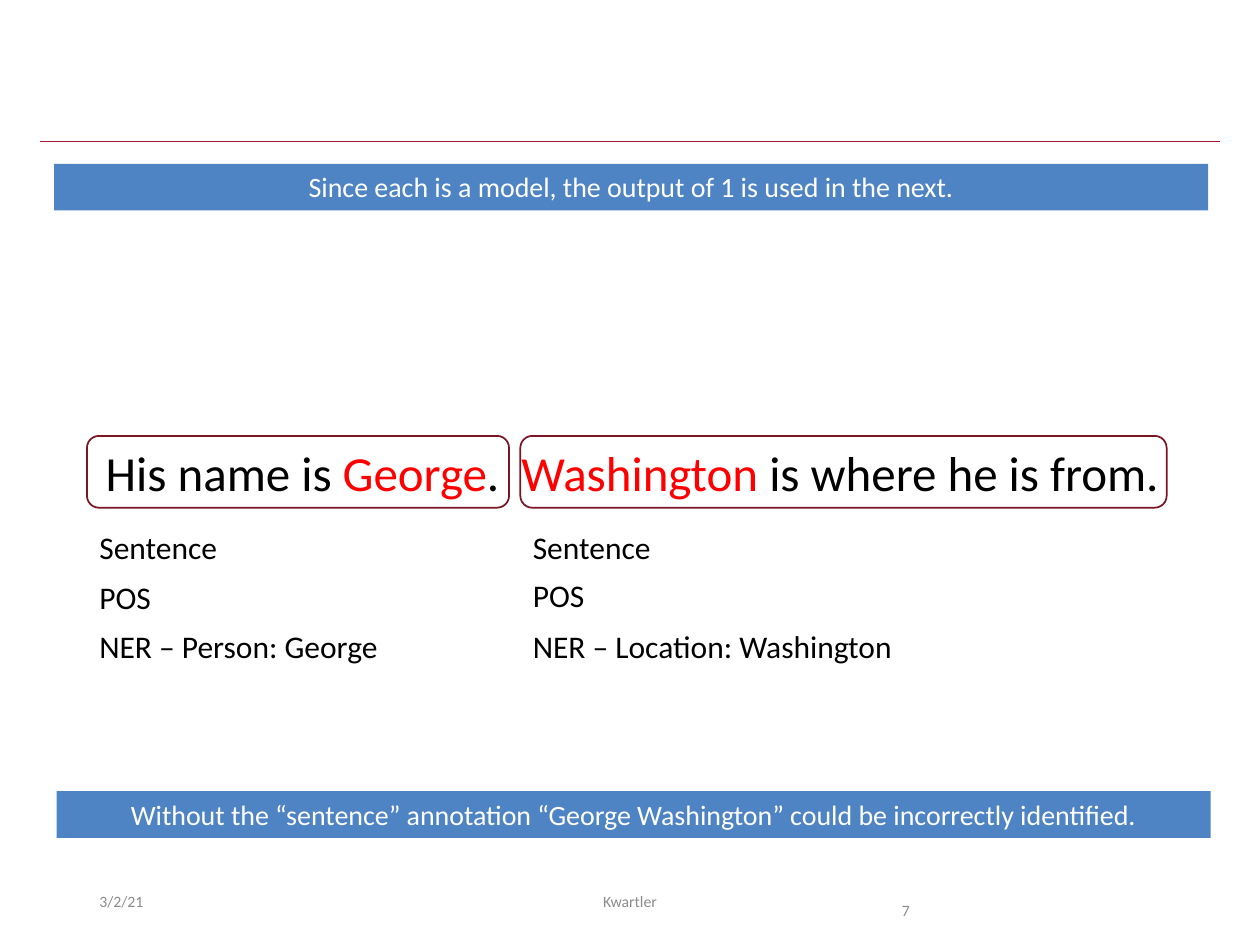
from dataclasses import dataclass

import pptx
import pptx.dml.color
import pptx.enum.shapes
import pptx.enum.text
import pptx.oxml.ns
import pptx.util
from lxml import etree

Inches = pptx.util.Inches
Pt = pptx.util.Pt
RGBColor = pptx.dml.color.RGBColor
MSO_SHAPE = pptx.enum.shapes.MSO_SHAPE
ALIGN = pptx.enum.text.PP_ALIGN
ANCHOR = pptx.enum.text.MSO_ANCHOR
AUTO_SIZE = pptx.enum.text.MSO_AUTO_SIZE

FONT = "Calibri"
BLACK = RGBColor(0x00, 0x00, 0x00)
WHITE = RGBColor(0xFF, 0xFF, 0xFF)
RED = RGBColor(0xFF, 0x00, 0x00)
GRAY = RGBColor(0x8C, 0x8C, 0x8C)
BLUE = RGBColor(0x4E, 0x84, 0xC4)
CRIMSON = RGBColor(0xA5, 0x1C, 0x30)
MAROON = RGBColor(0x7A, 0x15, 0x24)

SENTENCE_TOP = 3.46
SENTENCE_HEIGHT = 0.57


@dataclass
class Box:
    left: float
    top: float
    width: float
    height: float

    def emu(self) -> tuple:
        return tuple(Inches(v) for v in (self.left, self.top, self.width, self.height))


@dataclass
class Label:
    text: str
    box: Box
    size: int = 18
    color: RGBColor = BLACK
    align: ALIGN = ALIGN.LEFT
    anchor: ANCHOR = ANCHOR.TOP
    wrap: bool = False
    spacing: float = 1.0


@dataclass
class Sentence:
    left: float
    width: float
    entity: str
    entity_width: float
    pos_top: float


def style_run(r, size: int, color: RGBColor) -> None:
    r.font.name = FONT
    r.font.size = Pt(size)
    r.font.color.rgb = color


def add_label(s, label: Label) -> None:
    tf = s.shapes.add_textbox(*label.box.emu()).text_frame
    tf.text = label.text
    tf.word_wrap = label.wrap
    tf.vertical_anchor = label.anchor
    p = tf.paragraphs[0]
    p.alignment = label.align
    p.line_spacing = label.spacing
    style_run(p.runs[0], label.size, label.color)


def add_banner(s, text: str, box: Box) -> None:
    sp = s.shapes.add_shape(MSO_SHAPE.RECTANGLE, *box.emu())
    sp.shadow.inherit = False
    sp.fill.solid()
    sp.fill.fore_color.rgb = BLUE
    sp.line.fill.background()
    tf = sp.text_frame
    tf.text = text
    tf.word_wrap = True
    tf.auto_size = AUTO_SIZE.SHAPE_TO_FIT_TEXT
    tf.vertical_anchor = ANCHOR.TOP
    p = tf.paragraphs[0]
    p.alignment = ALIGN.CENTER
    style_run(p.runs[0], 16, WHITE)


def add_rule(s, left: float, right: float, top: float) -> None:
    sp = s.shapes.add_connector(
        pptx.enum.shapes.MSO_CONNECTOR.STRAIGHT,
        Inches(left), Inches(top), Inches(right), Inches(top),
    )
    sp.line.color.rgb = CRIMSON
    sp.line.width = Pt(0.5)
    etree.SubElement(sp._element.spPr, pptx.oxml.ns.qn("a:effectLst"))


def add_example(s, parts: list[tuple[str, RGBColor]], box: Box) -> None:
    tf = s.shapes.add_textbox(*box.emu()).text_frame
    tf.word_wrap = False
    p = tf.paragraphs[0]
    for text, color in parts:
        r = p.add_run()
        r.text = text
        style_run(r, 28, color)


def add_outline(s, box: Box) -> None:
    sp = s.shapes.add_shape(MSO_SHAPE.ROUNDED_RECTANGLE, *box.emu())
    sp.shadow.inherit = False
    sp.fill.background()
    sp.line.color.rgb = MAROON
    sp.line.width = Pt(1)


def add_annotations(s, item: Sentence) -> None:
    rows = [
        ("Sentence", 4.14, 1.15),
        ("POS", item.pos_top, 0.61),
        (item.entity, 4.93, item.entity_width),
    ]
    for text, top, width in rows:
        add_label(s, Label(text, Box(item.left, top, width, 0.4)))


def main() -> None:
    prs = pptx.Presentation()
    prs.slide_width = Inches(10)
    prs.slide_height = Inches(7.5)
    s = prs.slides.add_slide(prs.slide_layouts[6])

    add_rule(s, 0.32, 9.68, 1.12)

    footers = [
        Label("3/2/21", Box(0.69, 6.95, 2.25, 0.4), 9, GRAY,
              anchor=ANCHOR.MIDDLE, wrap=True),
        Label("7", Box(7.06, 6.95, 0.94, 0.4), 9, GRAY, wrap=True, spacing=2.0),
        Label("Kwartler", Box(3.31, 6.95, 3.38, 0.4), 9, GRAY,
              ALIGN.CENTER, ANCHOR.MIDDLE, True),
    ]
    for footer in footers:
        add_label(s, footer)

    add_banner(
        s,
        "Without the “sentence” annotation “George Washington” could be incorrectly identified.",
        Box(0.45, 6.28, 9.16, 0.37),
    )
    add_example(
        s,
        [
            ("His name is ", BLACK),
            ("George", RED),
            (".  ", BLACK),
            ("Washington", RED),
            (" is where he is from.", BLACK),
        ],
        Box(0.74, SENTENCE_TOP, 8.65, SENTENCE_HEIGHT),
    )
    add_banner(
        s,
        "Since each is a model, the output of 1 is used in the next.",
        Box(0.43, 1.3, 9.16, 0.37),
    )

    sentences = [
        Sentence(0.69, 3.35, "NER – Person: George", 2.44, 4.54),
        Sentence(4.13, 5.13, "NER – Location: Washington", 3.09, 4.52),
    ]
    for item in sentences:
        add_outline(s, Box(item.left, SENTENCE_TOP, item.width, SENTENCE_HEIGHT))
    for item in sentences:
        add_annotations(s, item)

    prs.save("out.pptx")


if __name__ == "__main__":
    main()
